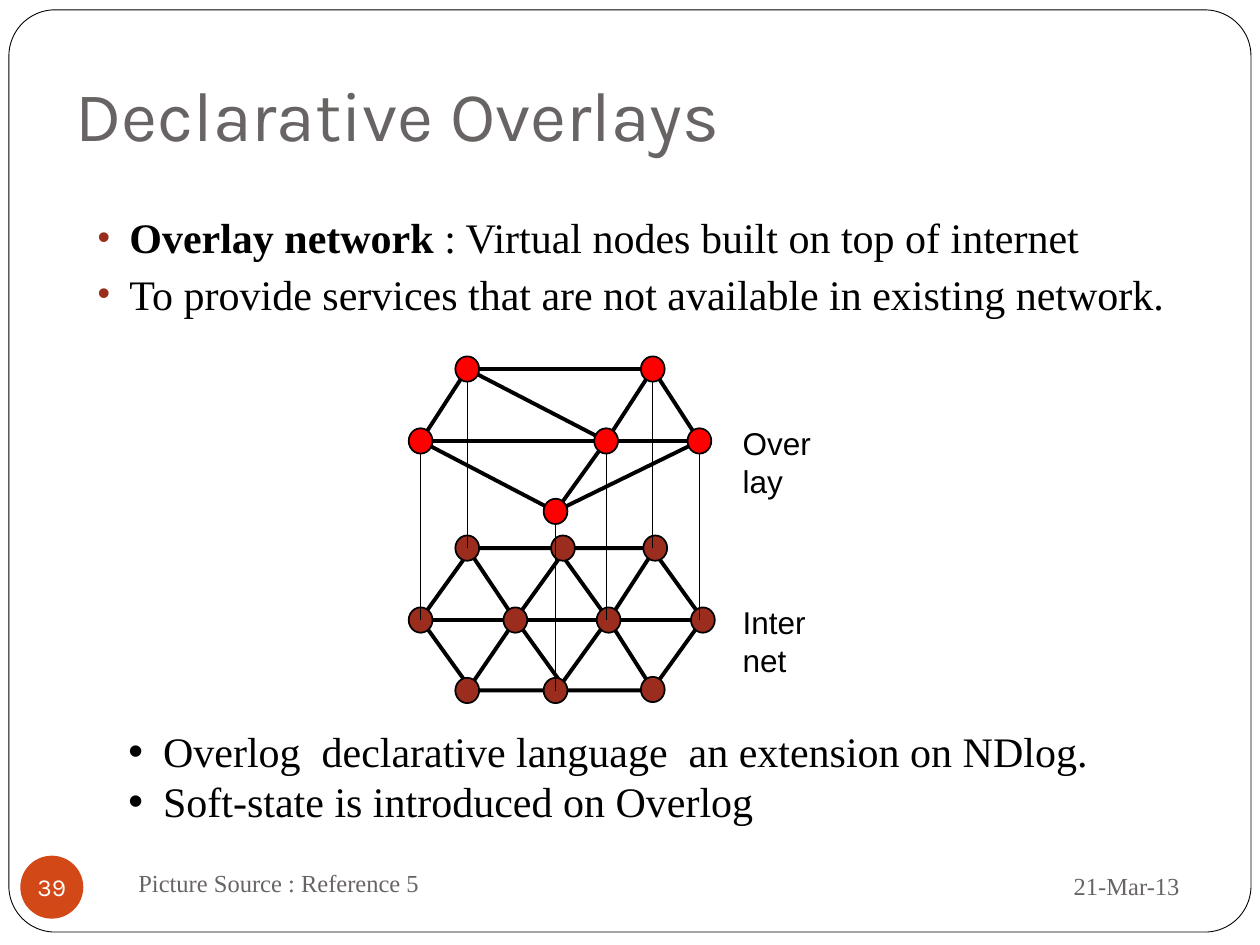
from lxml.etree import SubElement
from pptx import Presentation
from pptx.dml.color import RGBColor
from pptx.enum.shapes import MSO_CONNECTOR as CONNECTOR, MSO_SHAPE as SHAPE
from pptx.enum.text import MSO_ANCHOR as ANCHOR, PP_ALIGN as ALIGN
from pptx.oxml.ns import qn
from pptx.util import Cm, Pt

SERIF, SANS, HEADING = "Times New Roman", "Arial", "Karla"
BLACK, GREY, WHITE = "000000", "696464", "FFFFFF"
RED, BROWN, ORANGE = "FF0000", "9B2D1F", "D34817"

# Each paragraph is a list of (text, bold) runs.
TITLE = [[("Declarative Overlays", False)]]
DEFINITION = [
    [("Overlay network ", True),
     (": Virtual nodes built on top of internet", False)],
    [("To provide services that are not available in existing network.", False)],
]
LANGUAGE = [
    [("Overlog  declarative language  an extension on NDlog.", False)],
    [("Soft-state is introduced on Overlog", False)],
]
SOURCE = [[("Picture Source : Reference 5", False)]]
DATE = [[("21-Mar-13", False)]]
NUMBER = [[("39", False)]]

# Node centres in centimetres
OVERLAY_NODES = {
    "back left": (9.42, 7.44), "back right": (13.16, 7.44),
    "left": (8.48, 8.89), "middle": (12.22, 8.89), "right": (14.1, 8.89),
    "front": (11.2, 10.31),
}
OVERLAY_LINKS = [
    ("back left", "back right"), ("back left", "left"), ("back left", "middle"),
    ("back right", "middle"), ("back right", "right"), ("left", "middle"),
    ("middle", "right"), ("left", "front"), ("middle", "front"),
    ("right", "front"),
]
INTERNET_NODES = {
    "back left": (9.42, 11.05), "back middle": (11.35, 11.05),
    "back right": (13.21, 11.05),
    "left": (8.48, 12.5), "inner left": (10.39, 12.5),
    "inner right": (12.27, 12.5), "right": (14.17, 12.5),
    "front left": (9.42, 13.92), "front middle": (11.2, 13.92),
    "front right": (13.16, 13.9),
}
# The two hexagons draw the remaining links.
INTERNET_LINKS = [
    ("left", "right"), ("inner left", "front left"),
    ("back left", "inner left"), ("back right", "inner right"),
    ("front right", "inner right"),
]
HEXAGON_LEFTS = (8.48, 10.39)
NODE_WIDTH, NODE_HEIGHT = 0.48, 0.51
LAYER_GAP = 3.61


def color(value):
    return RGBColor.from_string(value)


def add_shape(kind, left, top, width, height, fill, line=BLACK, weight=1):
    shape = slide.shapes.add_shape(kind, Cm(left), Cm(top), Cm(width), Cm(height))
    shape.shadow.inherit = False
    if fill:
        shape.fill.solid()
        shape.fill.fore_color.rgb = color(fill)
    else:
        shape.fill.background()
    if line:
        shape.line.color.rgb = color(line)
        shape.line.width = Pt(weight)
    else:
        shape.line.fill.background()
    return shape


def add_line(start, end, weight):
    line = slide.shapes.add_connector(
        CONNECTOR.STRAIGHT, *(Cm(value) for value in (*start, *end)))
    line.line.color.rgb = color(BLACK)
    line.line.width = Pt(weight)
    SubElement(line._element.spPr, qn("a:effectLst"))


def add_bullet(paragraph, margin, hanging, bullet_color, percent):
    properties = paragraph._p.get_or_add_pPr()
    properties.set("marL", str(Cm(margin)))
    properties.set("indent", str(-Cm(hanging)))
    tint = SubElement(properties, qn("a:buClr"))
    SubElement(tint, qn("a:srgbClr"), val=bullet_color)
    SubElement(properties, qn("a:buSzPct"), val=str(percent * 1000))
    SubElement(properties, qn("a:buFont"), typeface=SANS)
    SubElement(properties, qn("a:buChar"), char="•")


def write(shape, paragraphs, size, font, text_color, align=ALIGN.LEFT,
          anchor=ANCHOR.TOP, bullet=None, gap=0):
    frame = shape.text_frame
    frame.word_wrap = True
    frame.vertical_anchor = anchor
    for index, runs in enumerate(paragraphs):
        paragraph = frame.add_paragraph() if index else frame.paragraphs[0]
        paragraph.alignment = align
        if index and gap:
            paragraph.space_before = Pt(gap)
        if bullet:
            add_bullet(paragraph, *bullet)
        for text, bold in runs:
            run = paragraph.add_run()
            run.text = text
            run.font.name = font
            run.font.size = Pt(size)
            run.font.bold = bold
            run.font.color.rgb = color(text_color)
    return frame


def add_text(left, top, width, height, *content, **style):
    box = slide.shapes.add_textbox(Cm(left), Cm(top), Cm(width), Cm(height))
    return write(box, *content, **style)


def add_links(nodes, links):
    for start, end in links:
        add_line(nodes[start], nodes[end], 2.25)


def add_nodes(nodes, fill):
    for x, y in nodes.values():
        add_shape(SHAPE.OVAL, x - NODE_WIDTH / 2, y - NODE_HEIGHT / 2,
                  NODE_WIDTH, NODE_HEIGHT, fill)


def add_layer_label(text, top):
    add_text(14.72, top, 1.99, 0.81, [[(text, False)]], 18, SANS, BLACK)


presentation = Presentation()
presentation.slide_width, presentation.slide_height = Cm(25.4), Cm(19.05)
slide = presentation.slides.add_slide(presentation.slide_layouts[6])

# Frame, title and footer
border = add_shape(SHAPE.ROUNDED_RECTANGLE, 0.18, 0.2, 25.04, 18.59, WHITE, weight=0.5)
border.adjustments[0] = 0.05
title = add_text(1.27, 0.76, 22.66, 2.62, TITLE, 40, HEADING, GREY,
                 anchor=ANCHOR.BOTTOM)
title.margin_bottom = Cm(0.25)
add_text(17.15, 17.2, 6.88, 1.32, DATE, 14, SERIF, GREY,
         align=ALIGN.RIGHT, anchor=ANCHOR.MIDDLE)
badge = add_shape(SHAPE.OVAL, 0.41, 17.25, 1.27, 1.27, ORANGE, line=None)
number = write(badge, NUMBER, 14, HEADING, WHITE,
               align=ALIGN.CENTER, anchor=ANCHOR.MIDDLE)
number.word_wrap = False
number.margin_left = number.margin_right = 0
number.margin_top = number.margin_bottom = 0

add_text(0.84, 4.14, 23.93, 11.5, DEFINITION, 24, SERIF, BLACK,
         bullet=(1.52, 0.64, BROWN, 85), gap=3.7)

# Internet layer
for left in HEXAGON_LEFTS:
    hexagon = add_shape(SHAPE.HEXAGON, left, 11.05, 3.78, 2.87, None, weight=2.25)
    hexagon.adjustments[0] = 0.36
add_links(INTERNET_NODES, INTERNET_LINKS)
add_nodes(INTERNET_NODES, BROWN)
add_layer_label("Internet", 12.04)

# Overlay layer, each node tied to the internet below it
for x, y in OVERLAY_NODES.values():
    add_line((x, y), (x, y + LAYER_GAP), 0.75)
add_links(OVERLAY_NODES, OVERLAY_LINKS)
add_nodes(OVERLAY_NODES, RED)
add_layer_label("Overlay", 8.43)

add_text(2.34, 14.5, 20.12, 2.31, LANGUAGE, 24, SERIF, BLACK,
         bullet=(0.7, 0.7, BLACK, 100))
add_text(2.54, 17.15, 11, 1.27, SOURCE, 14, SERIF, GREY, anchor=ANCHOR.MIDDLE)

presentation.save("out.pptx")
